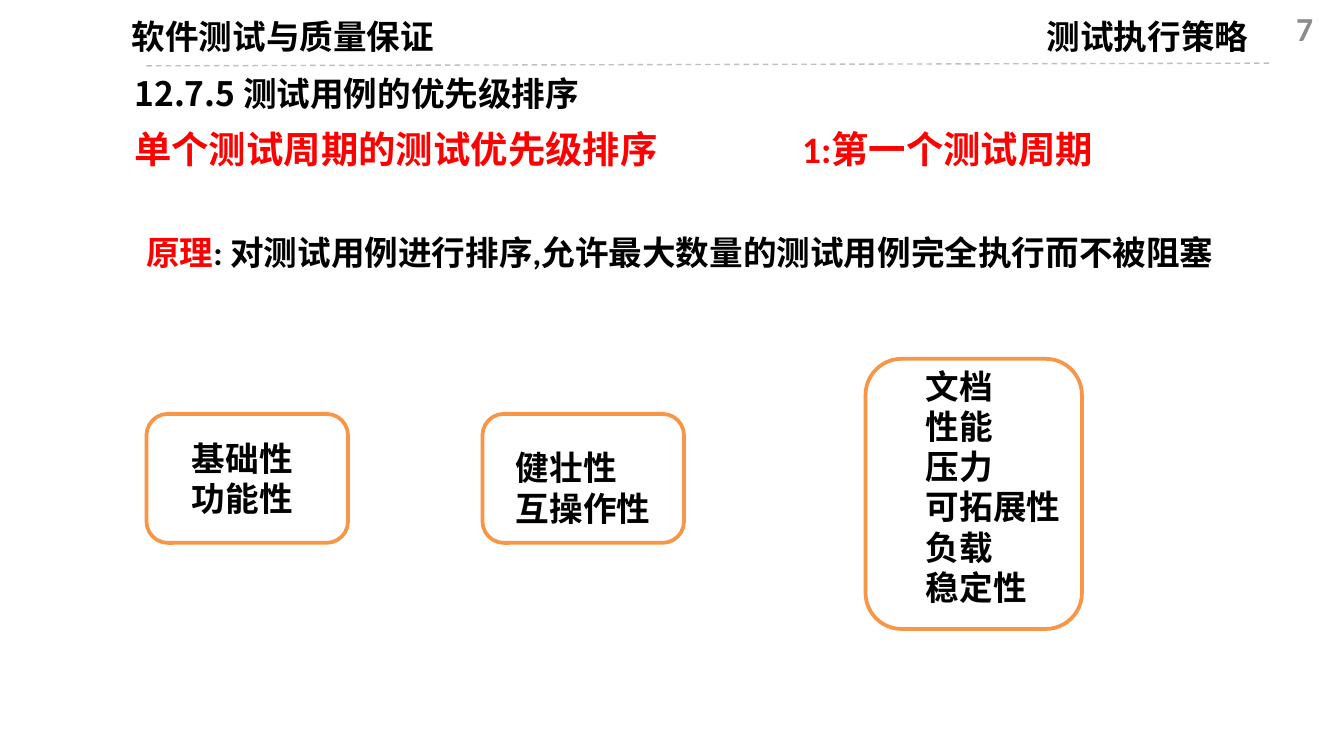
from lxml import etree
from pptx import Presentation
from pptx.dml.color import RGBColor
from pptx.enum import dml, shapes, text
from pptx.oxml.ns import qn
from pptx.util import Inches, Pt

BLACK = RGBColor(0x00, 0x00, 0x00)
RED = RGBColor(0xFF, 0x00, 0x00)
GREY = RGBColor(0x8C, 0x8C, 0x8C)
RULE_GREY = RGBColor(0xBF, 0xBF, 0xBF)
ORANGE = RGBColor(0xF7, 0x96, 0x46)
LATIN, CJK = "Calibri", "Noto Sans CJK SC"

# Widescreen page, 16:9
prs = Presentation()
prs.slide_width = Inches(10)
prs.slide_height = Inches(10 * 9 / 16)
slide = prs.slides.add_slide(prs.slide_layouts[5])


def write(box, lines, color=BLACK, size=18, font=LATIN,
          align=text.PP_ALIGN.LEFT, anchor=text.MSO_ANCHOR.TOP):
    """Fill a box with bold lines that share one format."""
    frame = box.text_frame
    frame.word_wrap = True
    frame.auto_size = text.MSO_AUTO_SIZE.NONE
    frame.vertical_anchor = anchor
    frame.text = "\n".join(lines)
    for paragraph in frame.paragraphs:
        paragraph.alignment = align
        paragraph.font.name = font
        paragraph.font.size = Pt(size)
        paragraph.font.bold = True
        paragraph.font.color.rgb = color
        # East Asian typeface for the Chinese characters
        defaults = paragraph._p.pPr.find(qn("a:defRPr"))
        etree.SubElement(defaults, qn("a:ea")).set("typeface", CJK)


def add_text(left, top, width, height, lines, **style):
    box = slide.shapes.add_textbox(Inches(left), Inches(top), Inches(width), Inches(height))
    write(box, lines, **style)
    return box


# Section title
title = slide.shapes.title
title.left, title.top = Inches(0.9), Inches(0.49)
title.width, title.height = Inches(7.24), Inches(0.4)
write(title, ["12.7.5 测试用例的优先级排序"], font=CJK)

# Page header: course, chapter, page number and dashed rule
add_text(0.62, 0.07, 2.97, 0.4, ["软件测试与质量保证"], font=CJK, align=text.PP_ALIGN.CENTER)
add_text(7.69, 0.07, 2.31, 0.4, ["测试执行策略"])
add_text(7.54, 0.06, 2.33, 0.3, ["7"], color=GREY,
         align=text.PP_ALIGN.RIGHT, anchor=text.MSO_ANCHOR.MIDDLE)
rule = slide.shapes.add_connector(shapes.MSO_CONNECTOR.STRAIGHT,
                                  Inches(1.09), Inches(0.49), Inches(9.47), Inches(0.47))
rule.line.color.rgb = RULE_GREY
rule.line.width = Pt(0.75)
rule.line.dash_style = dml.MSO_LINE.DASH
etree.SubElement(rule._element.spPr, qn("a:effectLst"))

# Red subheadings
add_text(0.9, 0.89, 4.45, 0.44, ["单个测试周期的测试优先级排序"], color=RED, size=20)
add_text(5.87, 0.89, 4.13, 0.44, ["1:第一个测试周期"], color=RED, size=20)

# Principle, with its keyword in red
principle = add_text(0.99, 1.68, 8.26, 0.4, ["原理"])
sentence = principle.text_frame.paragraphs[0]
sentence.runs[0].font.color.rgb = RED
sentence.add_run().text = ": 对测试用例进行排序,允许最大数量的测试用例完全执行而不被阻塞"

# Test groups: frame (left, top, width, height), label (left, top), test kinds
groups = [
    ((1.09, 3.08, 1.5, 0.96), (1.33, 3.21), ["基础性", "功能性"]),
    ((3.59, 3.08, 1.5, 0.96), (3.74, 3.28), ["健壮性", "互操作性"]),
    ((6.44, 2.67, 1.61, 2.01), (6.79, 2.67),
     ["文档", "性能", "压力", "可拓展性", "负载", "稳定性"]),
]
for frame_place, (label_left, label_top), kinds in groups:
    add_text(label_left, label_top, 1.55, 0.1 + 0.3 * len(kinds), kinds)
    outline = slide.shapes.add_shape(shapes.MSO_SHAPE.ROUNDED_RECTANGLE,
                                     *[Inches(value) for value in frame_place])
    outline.shadow.inherit = False
    outline.fill.background()
    outline.line.color.rgb = ORANGE
    outline.line.width = Pt(2)

prs.save("out.pptx")
